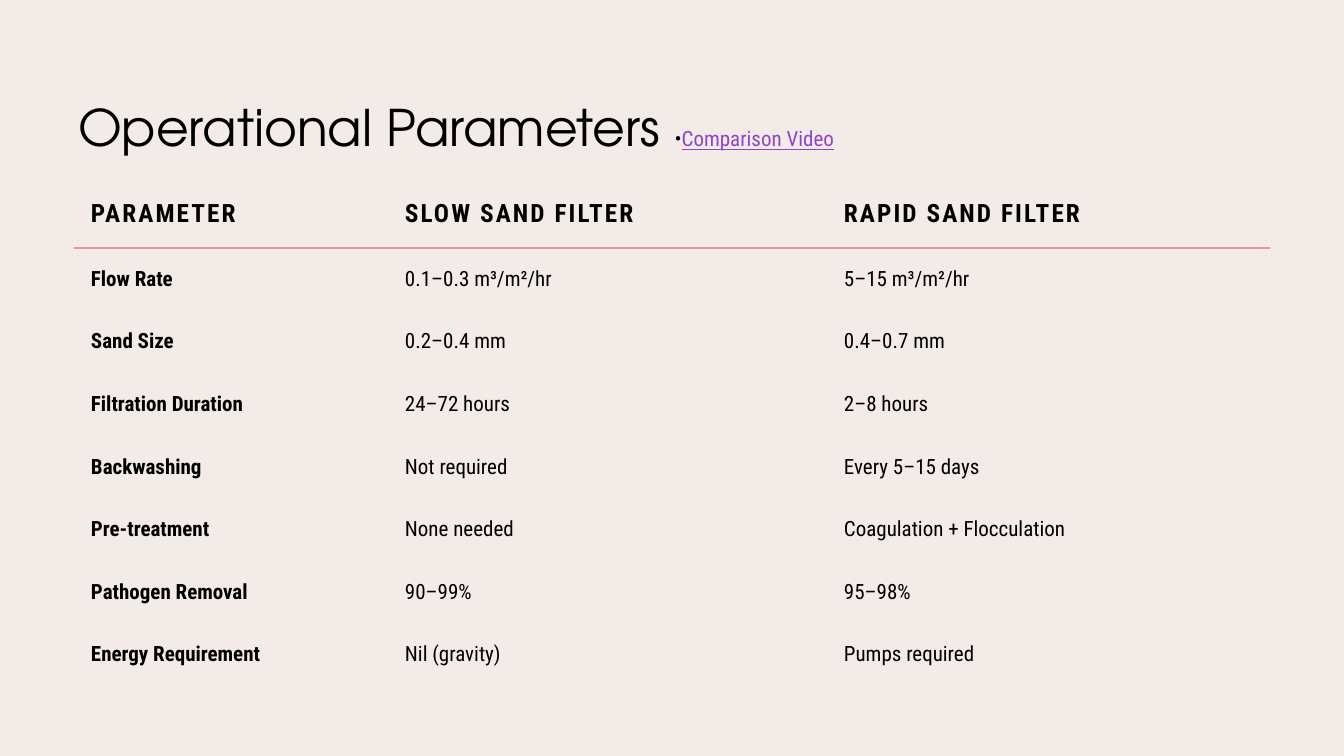
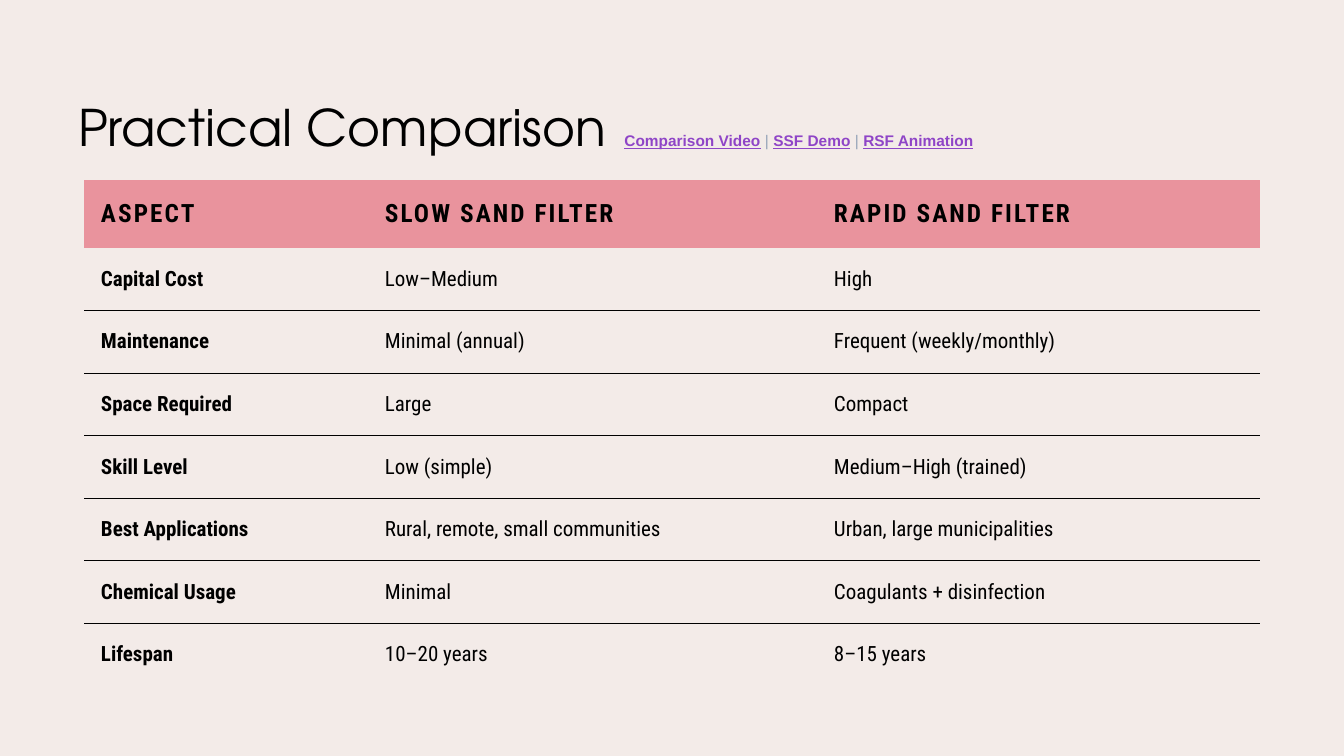
from dataclasses import dataclass
from typing import Any, NamedTuple, Optional

from lxml.etree import SubElement
from pptx import Presentation
from pptx.dml.color import RGBColor
from pptx.enum.text import MSO_ANCHOR, MSO_AUTO_SIZE, PP_ALIGN
from pptx.oxml.ns import qn
from pptx.util import Pt

PX = 12192000 / 1344
NO_STYLE = "{2D5ABB26-0587-4C30-8999-92F81FD0307C}"


@dataclass(frozen=True)
class Theme:
    paper: str = "F3EBE8"
    ink: str = "000000"
    rose: str = "E9939D"
    link: str = "8F45C7"
    slate: str = "94A3B8"
    title_font: str = "TeX Gyre Adventor"
    body_font: str = "Roboto Condensed"
    note_font: str = "Arial"
    title_size: int = 36
    head_size: int = 18
    body_size: int = 15
    note_size: int = 11
    head_spacing: float = 1.5


T = Theme()


class Style(NamedTuple):
    font: str
    size: int
    color: str = T.ink
    bold: bool = False
    underline: bool = False
    spacing: float = 0


class Rule(NamedTuple):
    color: str
    width: float


class Span(NamedTuple):
    text: str
    style: Style


@dataclass(frozen=True)
class Comparison:
    title: list[Span]
    left: int
    columns: list[int]
    rows: list[list[str]]
    head_fill: Optional[str] = None
    head_rule: Optional[Rule] = None
    row_rule: Optional[Rule] = None


TITLE = Style(T.title_font, T.title_size)
BULLET = Style(T.body_font, T.body_size)
BULLET_LINK = BULLET._replace(color=T.link, underline=True)
NOTE = Style(T.note_font, T.note_size, T.slate)
NOTE_LINK = NOTE._replace(color=T.link, bold=True, underline=True)
HEAD = Style(T.body_font, T.head_size, bold=True, spacing=T.head_spacing)
BODY = Style(T.body_font, T.body_size)
LABEL = BODY._replace(bold=True)

TABLE_TOP, HEAD_HEIGHT, BODY_HEIGHT = 180, 68, 438
CELL_INSET = 17

SLIDES = [
    Comparison(
        title=[
            Span("Operational Parameters ", TITLE),
            Span("•", BULLET),
            Span("Comparison Video", BULLET_LINK),
        ],
        left=74,
        columns=[314, 439, 443],
        head_rule=Rule(T.rose, 2.25),
        rows=[
            ["PARAMETER", "SLOW SAND FILTER", "RAPID SAND FILTER"],
            ["Flow Rate", "0.1–0.3 m³/m²/hr", "5–15 m³/m²/hr"],
            ["Sand Size", "0.2–0.4 mm", "0.4–0.7 mm"],
            ["Filtration Duration", "24–72 hours", "2–8 hours"],
            ["Backwashing", "Not required", "Every 5–15 days"],
            ["Pre-treatment", "None needed", "Coagulation + Flocculation"],
            ["Pathogen Removal", "90–99%", "95–98%"],
            ["Energy Requirement", "Nil (gravity)", "Pumps required"],
        ],
    ),
    Comparison(
        title=[
            Span("Practical Comparison ", TITLE),
            Span(" ", NOTE),
            Span("Comparison Video", NOTE_LINK),
            Span(" | ", NOTE),
            Span("SSF Demo", NOTE_LINK),
            Span(" | ", NOTE),
            Span("RSF Animation", NOTE_LINK),
        ],
        left=84,
        columns=[284, 449, 443],
        head_fill=T.rose,
        row_rule=Rule(T.ink, 0.5),
        rows=[
            ["ASPECT", "SLOW SAND FILTER", "RAPID SAND FILTER"],
            ["Capital Cost", "Low–Medium", "High"],
            ["Maintenance", "Minimal (annual)", "Frequent (weekly/monthly)"],
            ["Space Required", "Large", "Compact"],
            ["Skill Level", "Low (simple)", "Medium–High (trained)"],
            ["Best Applications", "Rural, remote, small communities", "Urban, large municipalities"],
            ["Chemical Usage", "Minimal", "Coagulants + disinfection"],
            ["Lifespan", "10–20 years", "8–15 years"],
        ],
    ),
]


def px(n: float) -> int:
    return round(n * PX)


def assign(target: Any, values: dict[str, Any]) -> None:
    for name, value in values.items():
        setattr(target, name, value)


def add_run(p: Any, text: str, style: Style) -> None:
    r = p.add_run()
    r.text = text
    assign(r.font, {
        "name": style.font,
        "size": Pt(style.size),
        "bold": style.bold,
        "underline": style.underline,
    })
    r.font.color.rgb = RGBColor.from_string(style.color)
    if style.spacing:
        r._r.get_or_add_rPr().set("spc", str(round(style.spacing * 100)))


def set_borders(cell: Any, top: Optional[Rule], bottom: Optional[Rule]) -> None:
    """Draw the given rules and clear the other sides; lines precede the fill."""
    tc_pr = cell._tc.get_or_add_tcPr()
    sides = {"L": None, "R": None, "T": top, "B": bottom}
    for i, (side, rule) in enumerate(sides.items()):
        ln = SubElement(tc_pr, qn(f"a:ln{side}"))
        tc_pr.insert(i, ln)
        if rule:
            ln.set("w", str(Pt(rule.width)))
            fill = SubElement(ln, qn("a:solidFill"))
            SubElement(fill, qn("a:srgbClr")).set("val", rule.color)
        else:
            SubElement(ln, qn("a:noFill"))


def add_title(s: Any, spans: list[Span]) -> None:
    sp = s.shapes.title
    assign(sp, {"left": px(68), "top": px(56), "width": px(1208), "height": px(107)})
    tf = sp.text_frame
    assign(tf, {
        "word_wrap": True,
        "auto_size": MSO_AUTO_SIZE.NONE,
        "vertical_anchor": MSO_ANCHOR.BOTTOM,
    })
    p = tf.paragraphs[0]
    assign(p, {"alignment": PP_ALIGN.LEFT, "line_spacing": 0.9})
    for span in spans:
        add_run(p, span.text, span.style)


def add_comparison_table(s: Any, c: Comparison) -> None:
    count = len(c.rows)
    frame = s.shapes.add_table(
        count, len(c.columns), px(c.left), px(TABLE_TOP),
        px(sum(c.columns)), px(HEAD_HEIGHT + BODY_HEIGHT))
    table = frame.table
    assign(table, {"first_row": False, "horz_banding": False})
    table._tbl.tblPr.find(qn("a:tableStyleId")).text = NO_STYLE
    for column, width in zip(table.columns, c.columns):
        column.width = px(width)

    # rules[i] lies above row i, so neighbouring cells agree on their shared edge
    rules = [None, c.head_rule] + [c.row_rule] * (count - 2) + [None]
    for i, texts in enumerate(c.rows):
        table.rows[i].height = px(BODY_HEIGHT / (count - 1) if i else HEAD_HEIGHT)
        for j, text in enumerate(texts):
            cell = table.cell(i, j)
            assign(cell, {"vertical_anchor": MSO_ANCHOR.MIDDLE})
            assign(cell, {f"margin_{side}": px(CELL_INSET)
                          for side in ("left", "top", "right", "bottom")})
            if c.head_fill and i == 0:
                cell.fill.solid()
                cell.fill.fore_color.rgb = RGBColor.from_string(c.head_fill)
            else:
                cell.fill.background()
            set_borders(cell, rules[i], rules[i + 1])
            style = HEAD if i == 0 else LABEL if j == 0 else BODY
            add_run(cell.text_frame.paragraphs[0], text, style)


def main() -> None:
    prs = Presentation()
    assign(prs, {"slide_width": px(1344), "slide_height": px(756)})
    paper = prs.slide_master.background.fill
    paper.solid()
    paper.fore_color.rgb = RGBColor.from_string(T.paper)
    title_only = prs.slide_layouts.get_by_name("Title Only")
    for c in SLIDES:
        s = prs.slides.add_slide(title_only)
        add_title(s, c.title)
        add_comparison_table(s, c)
    prs.save("out.pptx")


if __name__ == "__main__":
    main()
